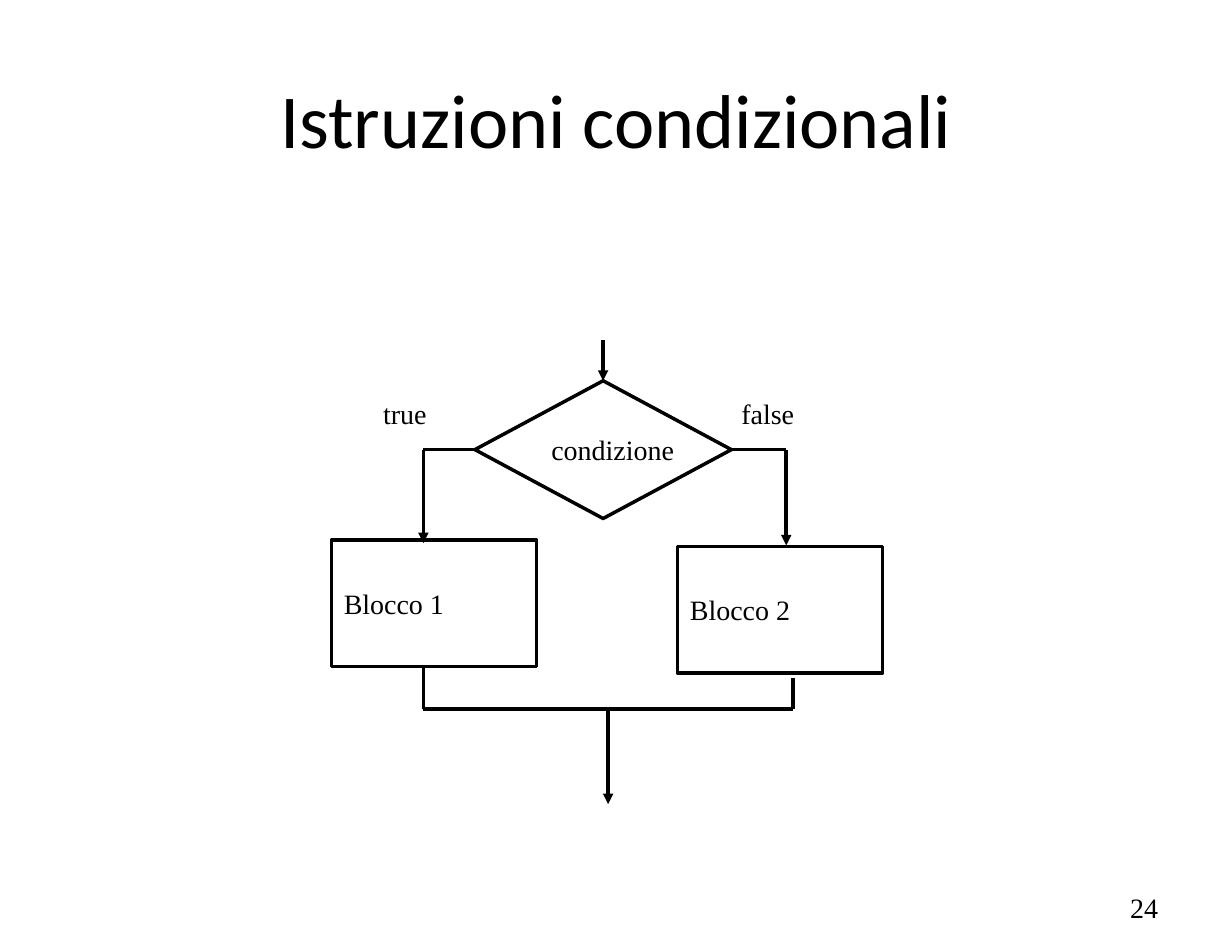
from dataclasses import dataclass

from lxml.etree import SubElement
from pptx import Presentation
from pptx.dml.color import RGBColor
from pptx.enum.shapes import MSO_CONNECTOR, MSO_SHAPE
from pptx.enum.text import MSO_ANCHOR, MSO_AUTO_SIZE, PP_ALIGN
from pptx.oxml.ns import qn
from pptx.util import Inches, Pt

COLUMNS, ROWS = 110, 85
UNIT = Inches(0.1)  # one square cell of the grid
TOP, LEFT, RIGHT = 0, 1, 3  # connection sites


@dataclass(frozen=True)
class Theme:
    ink: RGBColor = RGBColor(0, 0, 0)
    title_font: str = "Calibri"
    body_font: str = "Times New Roman"
    title_size: float = 49
    body_size: float = 18
    stroke: float = 2.25


THEME = Theme()


@dataclass(frozen=True)
class Box:
    """An area in grid columns and rows."""
    left: float
    top: float
    width: float
    height: float

    def inner(self, left, top, width, height):
        return Box(self.left + left, self.top + top, width, height)

    def point(self, column, row):
        return self.left + column, self.top + row

    @property
    def center(self):
        return self.point(self.width / 2, self.height / 2)

    @property
    def lengths(self):
        return [round(value * UNIT)
                for value in (self.left, self.top, self.width, self.height)]


def write(shape, text, font=THEME.body_font, size=THEME.body_size,
          align=PP_ALIGN.LEFT, anchor=MSO_ANCHOR.MIDDLE, wrap=False):
    frame = shape.text_frame
    frame.word_wrap = wrap
    frame.vertical_anchor = anchor
    frame.margin_left = frame.margin_right = Inches(0.11)
    frame.margin_top = frame.margin_bottom = Inches(0.06)
    para = frame.paragraphs[0]
    para.alignment = align
    span = para.add_run()
    span.text = text
    span.font.name = font
    span.font.size = Pt(size)
    span.font.color.rgb = THEME.ink


def add_text(page, box, text, **style):
    shape = page.shapes.add_textbox(*box.lengths)
    write(shape, text, **style)
    return shape


def add_node(page, box, kind, text):
    node = page.shapes.add_shape(kind, *box.lengths)
    node.shadow.inherit = False
    node.fill.background()
    node.line.color.rgb = THEME.ink
    node.line.width = Pt(THEME.stroke)
    write(node, text)
    return node


def add_label(page, box, text):
    label = add_text(page, box, text, anchor=MSO_ANCHOR.TOP)
    label.text_frame.auto_size = MSO_AUTO_SIZE.SHAPE_TO_FIT_TEXT


def add_line(page, start, end, arrow=False):
    ends = [round(value * UNIT) for value in (*start, *end)]
    line = page.shapes.add_connector(MSO_CONNECTOR.STRAIGHT, *ends)
    line.line.color.rgb = THEME.ink
    line.line.width = Pt(THEME.stroke)
    if arrow:
        SubElement(line.line._get_or_add_ln(), qn("a:tailEnd"), type="triangle")
    SubElement(line._element.spPr, qn("a:effectLst"))
    return line


def add_branch(page, condition, site, start, corner, end):
    add_line(page, start, corner).begin_connect(condition, site)
    add_line(page, corner, end, arrow=True)


def add_flowchart(page, box):
    """Condition, its two branches and the point where they meet again."""
    diamond = box.inner(12.8, 3.6, 22.9, 12.3)
    middle, level = diamond.center
    condition = add_node(page, diamond, MSO_SHAPE.DIAMOND, "condizione")
    entry = add_line(page, (middle, box.top), (middle, diamond.top), arrow=True)
    entry.end_connect(condition, TOP)

    true_lane, true_end = box.point(8.2, 18.1)
    false_lane, false_end = box.point(40.6, 18.3)
    add_branch(page, condition, LEFT, (diamond.left, level),
               (true_lane, level), (true_lane, true_end))
    add_branch(page, condition, RIGHT, (diamond.left + diamond.width, level),
               (false_lane, level), (false_lane, false_end))

    for left, top, text in ((0, 17.8, "Blocco 1"), (30.9, 18.4, "Blocco 2")):
        add_node(page, box.inner(left, top, 18.3, 11.3),
                 MSO_SHAPE.FLOWCHART_PROCESS, text)

    join_left, join_right = box.point(8.2, 32.9), box.point(41.2, 32.9)
    add_line(page, box.point(8.2, 29.1), join_left)
    add_line(page, box.point(41.2, 30.1), join_right)
    add_line(page, join_left, join_right)
    exit_column = (join_left[0] + join_right[0]) / 2
    add_line(page, (exit_column, join_left[1]),
             (exit_column, box.top + box.height), arrow=True)

    add_label(page, box.inner(3.5, 4.4, 6.1, 4.1), "true")
    add_label(page, box.inner(35.5, 4.4, 7, 4.1), "false")


def add_title(page, box):
    add_text(page, box, "Istruzioni condizionali", font=THEME.title_font,
             size=THEME.title_size, align=PP_ALIGN.CENTER, wrap=True)


def add_page_number(page, box):
    add_text(page, box, "24", align=PP_ALIGN.RIGHT, wrap=True)


def main():
    deck = Presentation()
    deck.slide_width = COLUMNS * UNIT
    deck.slide_height = ROWS * UNIT
    page = deck.slides.add_slide(deck.slide_layouts[6])
    add_title(page, Box(5.5, 3.4, 99, 14.2))
    add_flowchart(page, Box(29.6, 30.4, 49.2, 41.4))
    add_page_number(page, Box(78.8, 78.8, 25.7, 4.5))
    deck.save("out.pptx")


if __name__ == "__main__":
    main()
